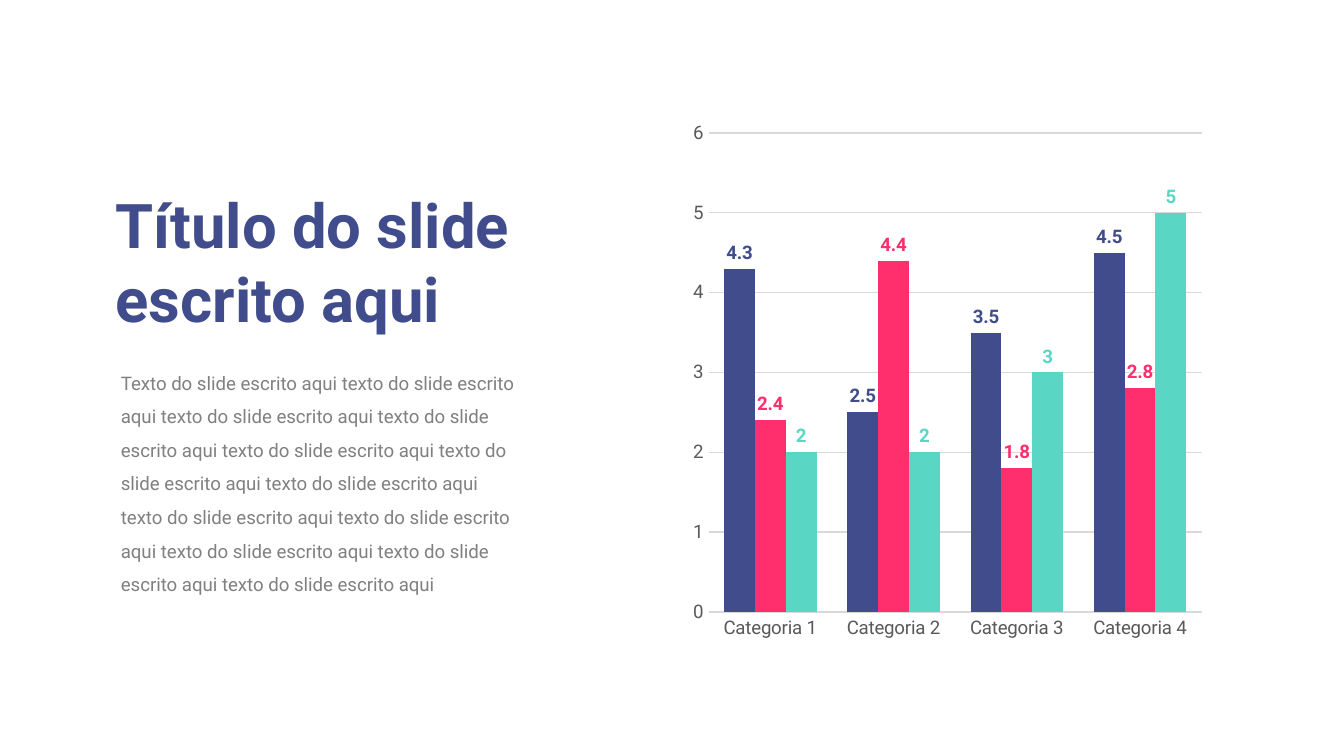
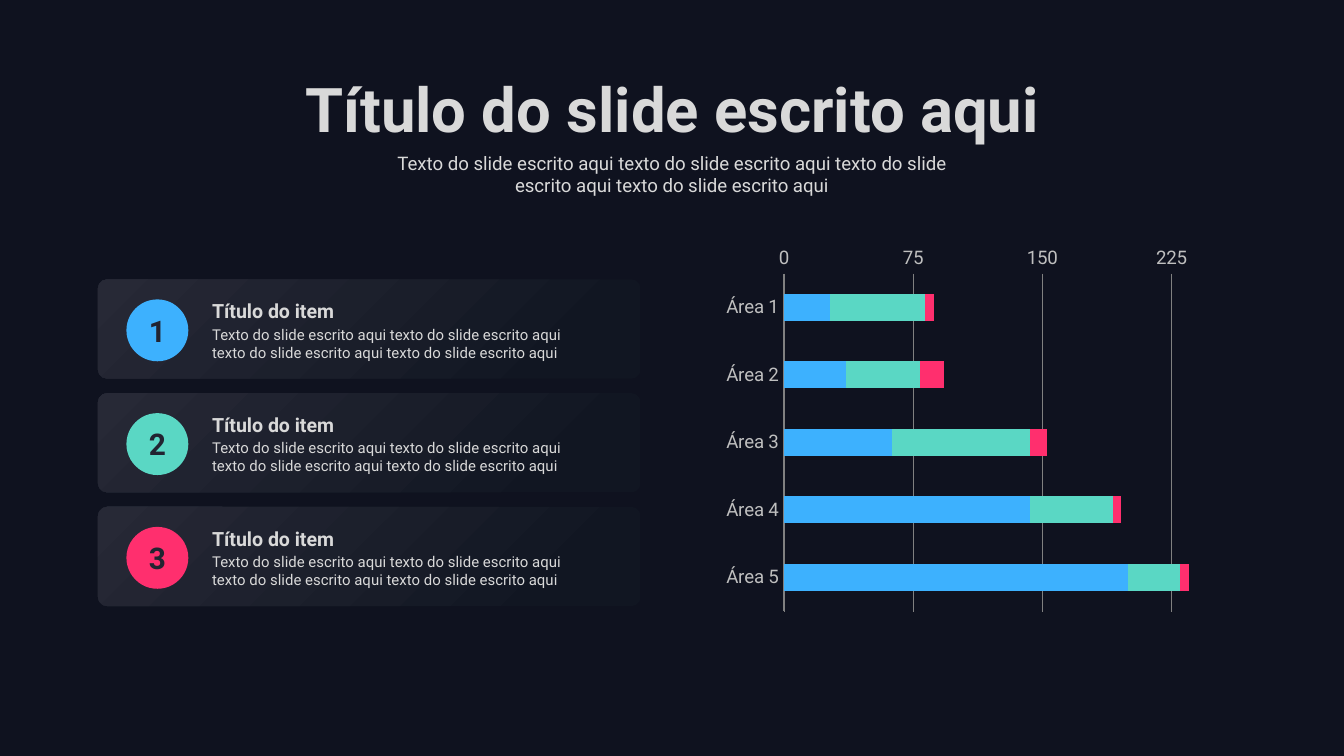
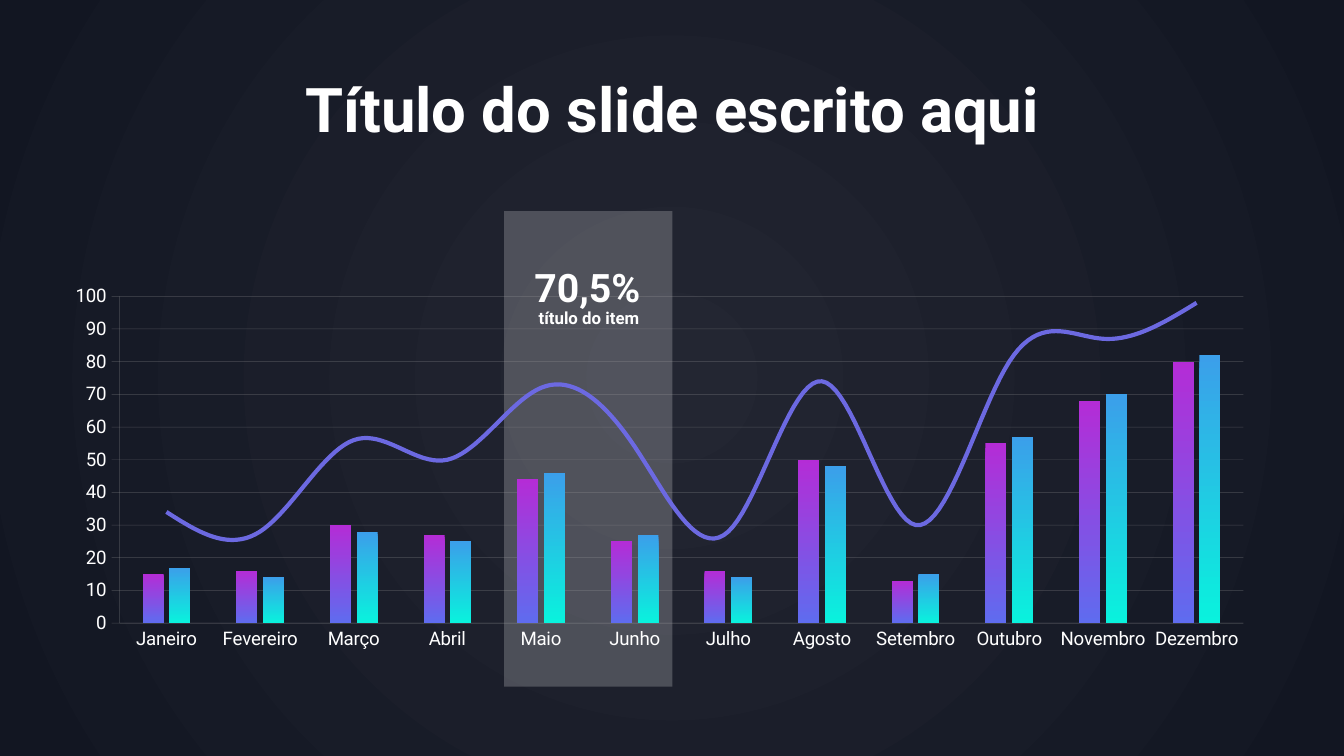
from lxml.etree import SubElement
from pptx import Presentation
from pptx.chart.data import CategoryChartData
from pptx.dml.color import RGBColor
from pptx.enum.chart import XL_AXIS_CROSSES as Crosses, XL_CHART_TYPE as ChartType
from pptx.enum.chart import XL_LABEL_POSITION as LabelPosition, XL_MARKER_STYLE as Marker
from pptx.enum.chart import XL_TICK_MARK as Tick
from pptx.enum.dml import MSO_LINE as Dash
from pptx.enum.shapes import MSO_SHAPE as Shape
from pptx.enum.text import MSO_ANCHOR as Anchor, MSO_AUTO_SIZE as AutoSize, PP_ALIGN as Align
from pptx.oxml import parse_xml
from pptx.oxml.ns import nsdecls, qn
from pptx.util import Cm, Pt

FONT = "Roboto"
NAVY, PINK, MINT, SKY = "414C8C", "FF2F6E", "5AD7C4", "3DB1FE"
WHITE, PALE, GREY, VIOLET = "FFFFFF", "D9D9D9", "A6A6A6", "6C69E1"
PHRASE = "texto do slide escrito aqui"
TITLE = "Título do slide escrito aqui"
TITLE_AREA = (2.21, 1.22, 21, 1.68)


def paint(fill, *colours, angle=0, start=0, alpha=None):
    """Fill with one colour, or with a gradient between two colours."""
    if len(colours) == 1:
        fill.solid()
        fill.fore_color.rgb = RGBColor.from_string(colours[0])
        if alpha is not None:
            SubElement(fill.fore_color._color._xClr, qn("a:alpha"), val=str(alpha * 1000))
        return
    fill.gradient()
    fill.gradient_angle = angle
    for stop, colour, position in zip(fill.gradient_stops, colours, (start, 1)):
        stop.color.rgb = RGBColor.from_string(colour)
        stop.position = position


def write(box, text, size, colour, area=None, bold=False, align=Align.LEFT,
          before=0, spacing=1.0, **frame_format):
    """Place the box, in centimetres, and set its one paragraph."""
    if area:
        box.left, box.top, box.width, box.height = map(Cm, area)
    frame = box.text_frame
    frame.text = text
    para = frame.paragraphs[0]
    frame_values = {"word_wrap": True, "vertical_anchor": Anchor.TOP,
                    "auto_size": AutoSize.SHAPE_TO_FIT_TEXT, **frame_format}
    para_values = {"alignment": align, "space_before": Pt(before), "line_spacing": spacing}
    font = para.runs[0].font
    font_values = {"name": FONT, "size": Pt(size), "bold": bold}
    for target, values in ((frame, frame_values), (para, para_values), (font, font_values)):
        for name, value in values.items():
            setattr(target, name, value)
    paint(font.fill, colour)


deck = Presentation()
deck.slide_width, deck.slide_height = Cm(25.4), Cm(14.29)
with_body, title_only = deck.slide_layouts[1], deck.slide_layouts[5]

# Titles and body texts
columns_page, areas_page, months_page = pages = [
    deck.slides.add_slide(layout) for layout in (with_body, with_body, title_only)]
for page, colour, area, align in (
        (columns_page, NAVY, (1.93, 3.4, 8.99, 3.07), Align.LEFT),
        (areas_page, PALE, TITLE_AREA, Align.CENTER),
        (months_page, WHITE, TITLE_AREA, Align.CENTER)):
    write(page.shapes.title, TITLE, 33, colour, area, bold=True, align=align)

for page, repeats, colour, area, style in (
        (columns_page, 12, "808080", (2.03, 6.68, 7.95, 4.7), {"spacing": 1.5}),
        (areas_page, 4, PALE, (6.88, 2.74, 11.63, 1.12),
         {"align": Align.CENTER, "before": 6.8})):
    body = page.placeholders[1]
    write(body, " ".join([PHRASE] * repeats).capitalize(), 10, colour, area, **style)
    properties = body.text_frame.paragraphs[0]._p.get_or_add_pPr()
    properties.set("marL", "0")
    properties.set("indent", "0")
    SubElement(properties, qn("a:buNone"))

# Dark backdrops, behind everything else
for page, colours in ((areas_page, ["0F121F"]), (months_page, ["232632", "121622"])):
    backdrop = page.shapes.add_shape(Shape.RECTANGLE, 0, 0, deck.slide_width, deck.slide_height)
    backdrop.shadow.inherit = False
    backdrop.line.fill.background()
    paint(backdrop.fill, *colours)
    page.shapes._spTree.insert(2, backdrop._element)
linear = backdrop._element.spPr.find(".//" + qn("a:lin"))
linear.getparent().replace(linear, parse_xml(
    f'<a:path {nsdecls("a")} path="circle">'
    '<a:fillToRect l="50000" t="50000" r="50000" b="50000"/></a:path>'))

# Band that marks two months
band = months_page.shapes.add_shape(
    Shape.ROUNDED_RECTANGLE, Cm(9.53), Cm(3.99), Cm(3.18), Cm(8.99))
band.adjustments[0] = 0
band.shadow.inherit = False
band.line.fill.background()
paint(band.fill, WHITE, alpha=21)

# Charts
months = ["Janeiro", "Fevereiro", "Março", "Abril", "Maio", "Junho", "Julho", "Agosto",
          "Setembro", "Outubro", "Novembro", "Dezembro"]
charts = []
for page, kind, area, categories, rows, colour, gap, overlap in (
        (columns_page, ChartType.COLUMN_CLUSTERED, (12.9, 2.11, 10.01, 10.16),
         [f"Categoria {number}" for number in range(1, 5)],
         [(4.3, 2.5, 3.5, 4.5), (2.4, 4.4, 1.8, 2.8), (2, 2, 3, 5)], "595959", 100, 0),
        (areas_page, ChartType.BAR_STACKED, (13.28, 4.67, 10.97, 7.49),
         [f"Área {number}" for number in range(1, 6)],
         [(27, 36, 63, 143, 200), (55, 43, 80, 48, 30), (5, 14, 10, 5, 5)],
         "BFBFBF", 150, 100),
        (months_page, ChartType.COLUMN_CLUSTERED, (0.97, 5.26, 22.99, 7.16), months,
         [(15, 16, 30, 27, 44, 25, 16, 50, 13, 55, 68, 80),
          (17, 14, 28, 25, 46, 27, 14, 48, 15, 57, 70, 82),
          (34, 28, 56, 50, 72, 54, 28, 74, 30, 80, 87, 98)], WHITE, 219, -27)):
    data = CategoryChartData()
    data.categories = categories
    for number, values in enumerate(rows, 1):
        data.add_series(f"Series {number}", values)
    chart = page.shapes.add_chart(kind, *map(Cm, area), data).chart
    chart.has_legend = chart.has_title = False
    chart.font.name, chart.font.size = FONT, Pt(10)
    paint(chart.font.fill, colour)
    plot = chart.plots[0]
    plot.gap_width, plot.overlap, plot.vary_by_categories = gap, overlap, False
    for axis in (chart.category_axis, chart.value_axis):
        axis.major_tick_mark = axis.minor_tick_mark = Tick.NONE
    chart.value_axis.has_major_gridlines = True
    chart.value_axis.format.line.fill.background()
    charts.append(chart)
columns_chart, areas_chart, months_chart = charts

for chart, colour, axis_width, grid_width, alpha in (
        (columns_chart, PALE, 0.75, 0.75, None),
        (areas_chart, "808080", 0.5, 0.25, None),
        (months_chart, GREY, 0.25, 0.25, 35)):
    for line, width in ((chart.category_axis.format.line, axis_width),
                        (chart.value_axis.major_gridlines.format.line, grid_width)):
        line.width = Pt(width)
        paint(line.fill, colour, alpha=alpha)

for chart, colours in ((columns_chart, (NAVY, PINK, MINT)), (areas_chart, (SKY, MINT, PINK))):
    for series, colour in zip(chart.plots[0].series, colours):
        paint(series.format.fill, colour)

for series, colour in zip(columns_chart.plots[0].series, (NAVY, PINK, MINT)):
    labels = series.data_labels
    labels.show_value = True
    labels.position = LabelPosition.OUTSIDE_END
    for name, value in {"name": FONT, "size": Pt(10), "bold": True}.items():
        setattr(labels.font, name, value)
    paint(labels.font.fill, colour)

areas_chart.category_axis.reverse_order = True
areas_chart.category_axis.crosses = Crosses.MAXIMUM
scale = areas_chart.value_axis
scale.minimum_scale, scale.maximum_scale, scale.major_unit = 0, 250, 75
scale.major_gridlines.format.line.dash_style = Dash.ROUND_DOT
plot_area = areas_chart._chartSpace.chart.plotArea
for layout in plot_area.findall(qn("c:layout")):
    plot_area.remove(layout)
layout = SubElement(plot_area, qn("c:layout"))
plot_area.insert(0, layout)
manual = SubElement(layout, qn("c:manualLayout"))
for tag, value in (("layoutTarget", "inner"), ("xMode", "edge"), ("yMode", "edge"),
                   ("x", "0.14"), ("y", "0.067"), ("w", "0.742"), ("h", "0.852")):
    SubElement(manual, qn("c:" + tag), val=value)

scale = months_chart.value_axis
scale.minimum_scale, scale.maximum_scale = 0, 100
scale.major_tick_mark = Tick.OUTSIDE
scale.format.line.width = Pt(0.25)
paint(scale.format.line.fill, GREY, alpha=35)

# The third series becomes a smooth line on the same axes
bars = months_chart._chartSpace.chart.plotArea.find(qn("c:barChart"))
curve = bars.findall(qn("c:ser"))[2]
for flag in curve.findall(qn("c:invertIfNegative")):
    curve.remove(flag)
line_chart = parse_xml(f'<c:lineChart {nsdecls("c")}><c:grouping val="standard"/>'
                       '<c:varyColors val="0"/></c:lineChart>')
line_chart.append(curve)
SubElement(line_chart, qn("c:marker"), val="1")
for axis_id in bars.findall(qn("c:axId")):
    SubElement(line_chart, qn("c:axId"), val=axis_id.get("val"))
bars.addnext(line_chart)

for series, colours in zip(months_chart.plots[0].series,
                           (("B42CD6", "5F6CEF"), ("3B9FEA", "09F2DD"))):
    paint(series.format.fill, *colours, angle=270)
trend = months_chart.plots[1].series[0]
trend.smooth = True
trend.marker.style = Marker.NONE
trend.format.line.width = Pt(2.25)
paint(trend.format.line.fill, VIOLET)

# Numbered cards
shapes = areas_page.shapes
margins = {"margin_top": Cm(0.1), "margin_bottom": Cm(0.1)}
for index, colour in enumerate((SKY, MINT, PINK)):
    top = 5.28 + 2.15 * index
    card = shapes.add_shape(Shape.ROUNDED_RECTANGLE, Cm(1.85), Cm(top), Cm(10.26), Cm(1.88))
    card.adjustments[0] = 0.096
    paint(card.fill, "111622", "272936", angle=135, start=0.14)
    badge = shapes.add_shape(Shape.OVAL, Cm(2.39), Cm(top + 0.38), Cm(1.17), Cm(1.17))
    paint(badge.fill, colour)
    for shape in (card, badge):
        shape.shadow.inherit = False
        shape.line.fill.background()
    write(badge, str(index + 1), 16, "222431", bold=True, align=Align.CENTER,
          vertical_anchor=Anchor.MIDDLE, auto_size=AutoSize.NONE)
    write(shapes.add_textbox(0, 0, 0, 0), "Título do item", 10.5, PALE,
          (3.76, top + 0.28, 4.67, 0.64), bold=True, **margins)
    write(shapes.add_textbox(0, 0, 0, 0), " ".join([PHRASE] * 4).capitalize(), 8, PALE,
          (3.76, top + 0.77, 7.29, 0.89), before=6.8, **margins)

# Figure on the band
for text, size, area in (("título do item", 9, (9.35, 5.61, 3.56, 0.71)),
                         ("70,5%", 21, (9.5, 4.67, 3.2, 1.3))):
    write(months_page.shapes.add_textbox(0, 0, 0, 0), text, size, WHITE, area,
          bold=True, align=Align.CENTER, spacing=1.2)

deck.save("out.pptx")
